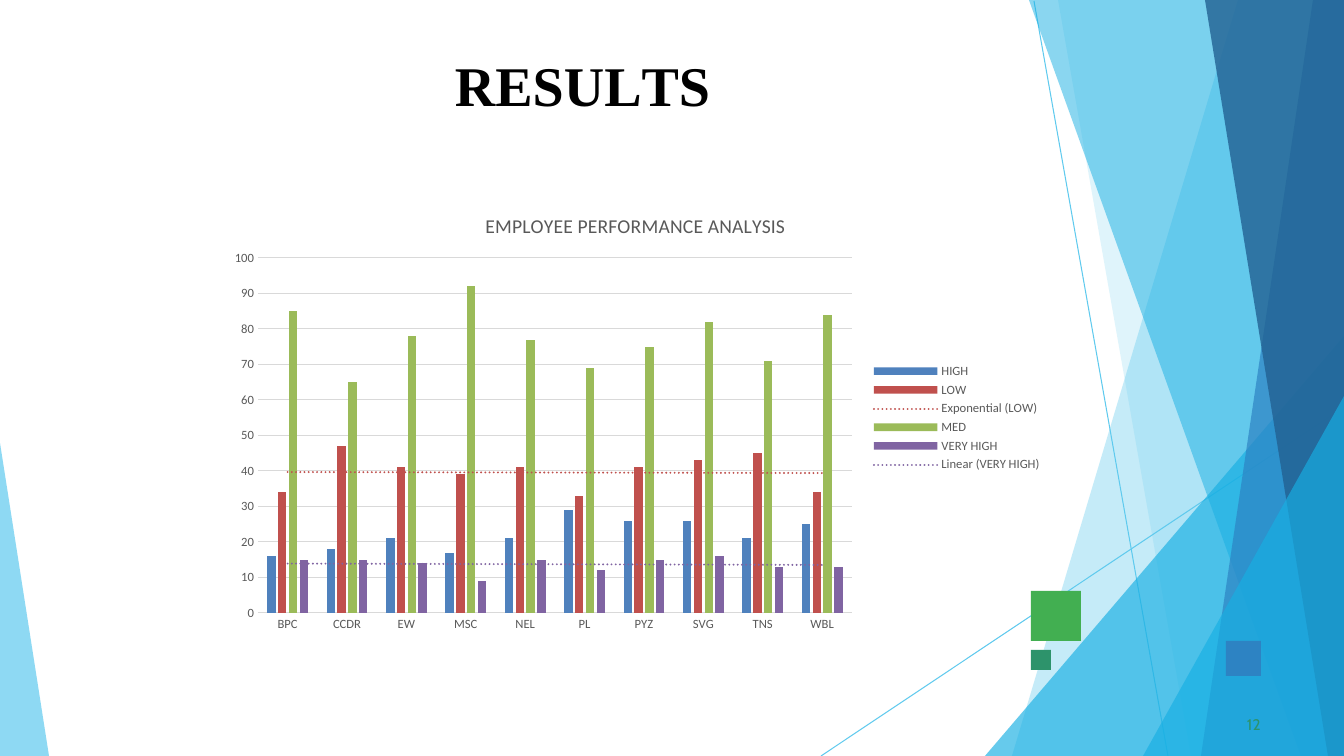
from dataclasses import dataclass

from pptx import Presentation
from pptx.chart.data import CategoryChartData
from pptx.dml.color import RGBColor
from pptx.enum.chart import XL_CHART_TYPE, XL_LEGEND_POSITION, XL_TICK_MARK
from pptx.enum.shapes import MSO_CONNECTOR, MSO_SHAPE
from pptx.oxml import parse_xml
from pptx.oxml.ns import nsdecls, qn
from pptx.util import Pt

COLUMN = XL_CHART_TYPE.COLUMN_CLUSTERED
RIGHT = XL_LEGEND_POSITION.RIGHT
NO_TICK = XL_TICK_MARK.NONE
STRAIGHT = MSO_CONNECTOR.STRAIGHT
RECT = MSO_SHAPE.RECTANGLE
WIDE, HIGH = 1344, 756
PX = 12192000 / WIDE


@dataclass(frozen=True)
class Theme:
    black: str = "000000"
    sky: str = "5FCAEE"
    cyan: str = "17AFE3"
    blue: str = "2D83C3"
    navy: str = "226192"
    green: str = "42AF51"
    teal: str = "2D936B"
    gray: str = "595959"
    grid: str = "D9D9D9"
    bars: tuple = ("4F81BD", "C0504D", "9BBB59", "8064A2")
    serif: str = "Times New Roman"
    sans: str = "Cabin"
    plain: str = "Calibri"
    head: int = 40
    title: int = 14
    base: int = 10
    small: int = 9
    page: int = 11


def emu(px):
    return round(px * PX)


def rgb(code):
    return RGBColor.from_string(code)


def style(font, face, size, color, bold=False):
    font.name = face
    font.size = Pt(size)
    font.bold = bold
    font.color.rgb = rgb(color)


def write(para, text, face, size, color, bold=False, space=0):
    run = para.add_run()
    run.text = text
    style(run.font, face, size, color, bold)
    run.font._element.set("spc", str(round(space * 100)))


class Deck:
    def __init__(self, theme):
        self.theme = theme
        self.file = Presentation()
        self.file.slide_width = emu(WIDE)
        self.file.slide_height = emu(HIGH)
        self.slide = self.file.slides.add_slide(self.file.slide_layouts[6])
        self.shapes = self.slide.shapes

    def paint(self, shape, color, alpha=100):
        shape.shadow.inherit = False
        shape.line.fill.background()
        shape.fill.solid()
        shape.fill.fore_color.rgb = rgb(color)
        if alpha < 100:
            tone = shape._element.spPr.find(".//" + qn("a:srgbClr"))
            tone.append(parse_xml(f'<a:alpha {nsdecls("a")} val="{alpha * 1000}"/>'))

    def line(self, x1, y1, x2, y2):
        line = self.shapes.add_connector(STRAIGHT, *map(emu, (x1, y1, x2, y2)))
        line.line.color.rgb = rgb(self.theme.sky)
        line.line.width = Pt(0.75)
        line._element.spPr.append(parse_xml(f'<a:effectLst {nsdecls("a")}/>'))

    def shard(self, points, color, alpha):
        first, *rest = [(emu(x), emu(y)) for x, y in points]
        form = self.shapes.build_freeform(*first)
        form.add_line_segments(rest, close=True)
        self.paint(form.convert_to_shape(), color, alpha)

    def square(self, x, y, side, color):
        self.paint(self.shapes.add_shape(RECT, *map(emu, (x, y, side, side))), color)

    def text(self, x, y, wide, high, runs, indent=0, before=0, **form):
        box = self.shapes.add_textbox(*map(emu, (x, y, wide, high)))
        frame = box.text_frame
        frame.word_wrap = True
        frame.margin_left = frame.margin_right = frame.margin_bottom = 0
        frame.margin_top = emu(1)
        para = frame.paragraphs[0]
        para.space_before = Pt(before)
        para._p.get_or_add_pPr().set("marL", str(emu(indent)))
        for text, space in runs:
            write(para, text, space=space, **form)

    def chart(self, x, y, wide, high, title, names, rows, trends, plot):
        look = self.theme
        data = CategoryChartData()
        data.categories = names
        for name, vals in rows.items():
            data.add_series(name, vals)
        frame = self.shapes.add_chart(COLUMN, *map(emu, (x, y, wide, high)), data)
        chart = frame.chart
        style(chart.font, look.plain, look.base, look.black)
        chart.has_title = True
        write(chart.chart_title.text_frame.paragraphs[0], title,
              face=look.plain, size=look.title, color=look.gray)
        chart.chart_title.include_in_layout = False
        chart.has_legend = True
        chart.legend.position = RIGHT
        chart.legend.include_in_layout = False
        style(chart.legend.font, look.plain, look.small, look.gray)
        self.axes(chart)
        bars = chart.plots[0]
        bars.vary_by_categories = False
        bars.gap_width = 219
        bars.overlap = -27
        for row, color in zip(bars.series, look.bars):
            row.format.fill.solid()
            row.format.fill.fore_color.rgb = rgb(color)
            row.invert_if_negative = False
            if row.name in trends:
                self.trend(row, trends[row.name], color)
        left, top, span, rise = plot
        sizes = {"x": (left - x) / wide, "y": (top - y) / high,
                 "w": span / wide, "h": rise / high}
        self.place(chart, sizes)

    def axes(self, chart):
        look = self.theme
        for axis in (chart.category_axis, chart.value_axis):
            axis.major_tick_mark = axis.minor_tick_mark = NO_TICK
            style(axis.tick_labels.font, look.plain, look.small, look.gray)
        value = chart.value_axis
        value.minimum_scale, value.maximum_scale, value.major_unit = 0, 100, 10
        value.format.line.fill.background()
        for part in (chart.category_axis, value.major_gridlines):
            part.format.line.color.rgb = rgb(look.grid)
            part.format.line.width = Pt(0.75)

    def trend(self, row, kind, color):
        row._element.find(qn("c:cat")).addprevious(parse_xml(
            f'<c:trendline {nsdecls("c", "a")}><c:spPr>'
            f'<a:ln w="{Pt(1.5)}" cap="rnd"><a:solidFill><a:srgbClr val="{color}"/>'
            '</a:solidFill><a:prstDash val="sysDot"/></a:ln></c:spPr>'
            f'<c:trendlineType val="{kind}"/><c:dispRSqr val="0"/>'
            '<c:dispEq val="0"/></c:trendline>'))

    def place(self, chart, sizes):
        area = chart._chartSpace.find(".//" + qn("c:plotArea"))
        for old in area.findall(qn("c:layout")):
            area.remove(old)
        modes = "".join(f'<c:{k}Mode val="edge"/>' for k in "xy")
        spots = "".join(f'<c:{k} val="{v:.4f}"/>' for k, v in sizes.items())
        area.insert(0, parse_xml(
            f'<c:layout {nsdecls("c")}><c:manualLayout><c:layoutTarget val="inner"/>'
            f'{modes}{spots}</c:manualLayout></c:layout>'))


def main():
    look = Theme()
    deck = Deck(look)
    deck.line(1034, 1, 1168, HIGH)
    deck.line(WIDE, 407, 821, HIGH)
    base = (WIDE, HIGH)
    for top, left, foot, color, alpha in (
        (0, 1238, 1012, look.sky, 36),
        (0, 1058, 1191, look.sky, 20),
        (336, None, 985, look.cyan, 66),
        (0, 1029, 1301, look.cyan, 50),
        (0, 1313, 1201, look.blue, 70),
        (0, 1205, 1328, look.navy, 80),
        (396, None, 1143, look.cyan, 66),
    ):
        edge = [(left, 0)] if left else []
        deck.shard([(WIDE, top), *edge, (foot, HIGH), base], color, alpha)
    deck.shard([(0, 443), (0, HIGH), (49, HIGH)], look.sky, 70)
    deck.square(1031, 591, 50, look.green)
    deck.square(1226, 641, 35, look.blue)
    deck.square(1031, 650, 20, look.teal)
    head = (("R", 0), ("E", -0.4), ("S", 0.1), ("U", -0.3), ("L", -4), ("TS", 0))
    deck.text(454, 50, 269, 70, head, indent=1, before=1.1,
              face=look.serif, size=look.head, color=look.black, bold=True)
    deck.text(1243, 714, 25, 21, [("12", 0.1)], indent=4, before=0.6,
              face=look.sans, size=look.page, color=look.teal)
    names = ("BPC", "CCDR", "EW", "MSC", "NEL", "PL", "PYZ", "SVG", "TNS", "WBL")
    rows = {
        "HIGH": (16, 18, 21, 17, 21, 29, 26, 26, 21, 25),
        "LOW": (34, 47, 41, 39, 41, 33, 41, 43, 45, 34),
        "MED": (85, 65, 78, 92, 77, 69, 75, 82, 71, 84),
        "VERY HIGH": (15, 15, 14, 9, 15, 12, 15, 16, 13, 13),
    }
    deck.chart(219, 194, 833, 448, "EMPLOYEE PERFORMANCE ANALYSIS", names, rows,
               {"LOW": "exp", "VERY HIGH": "linear"}, (258, 258, 594, 355))
    deck.file.save("out.pptx")


if __name__ == "__main__":
    main()
